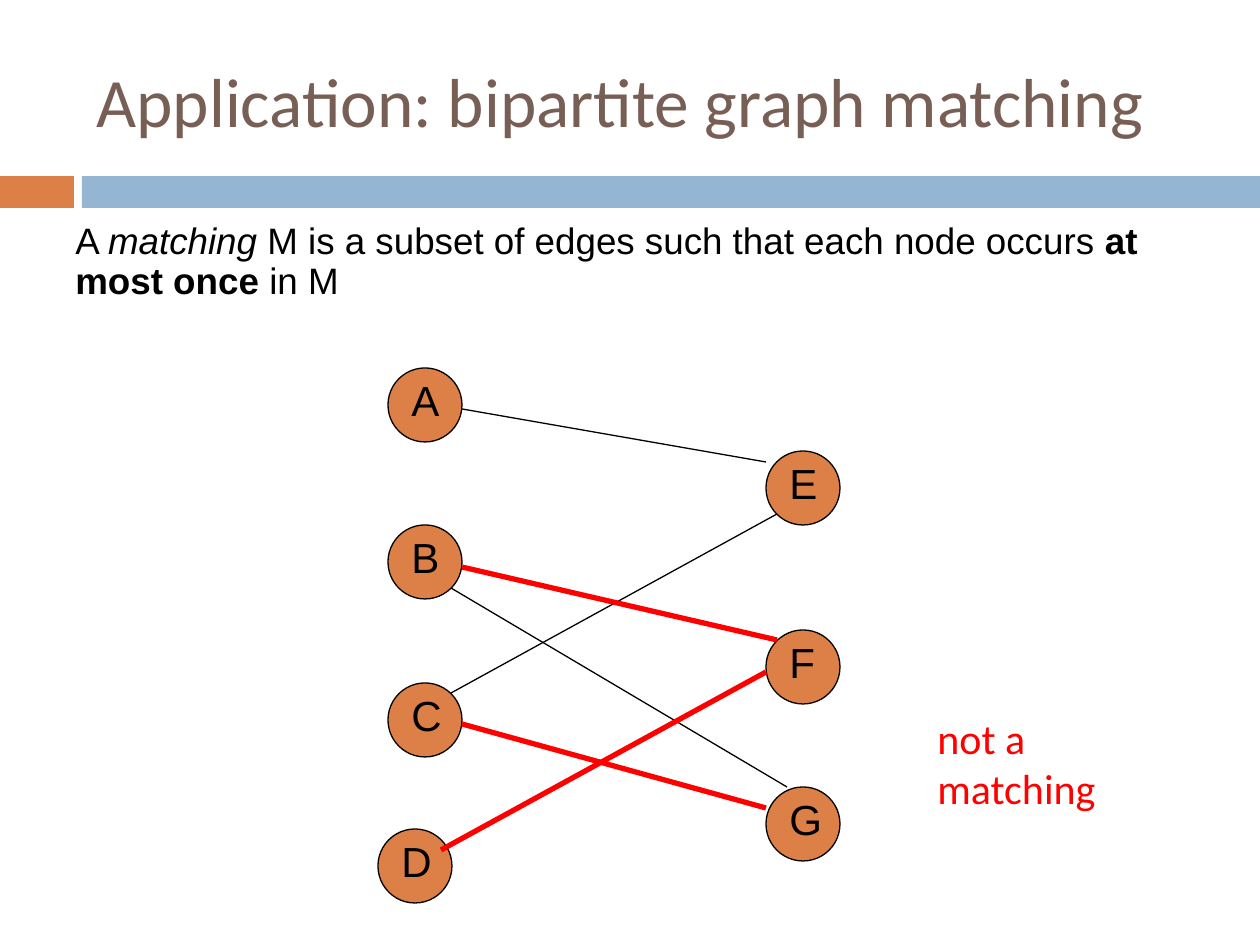
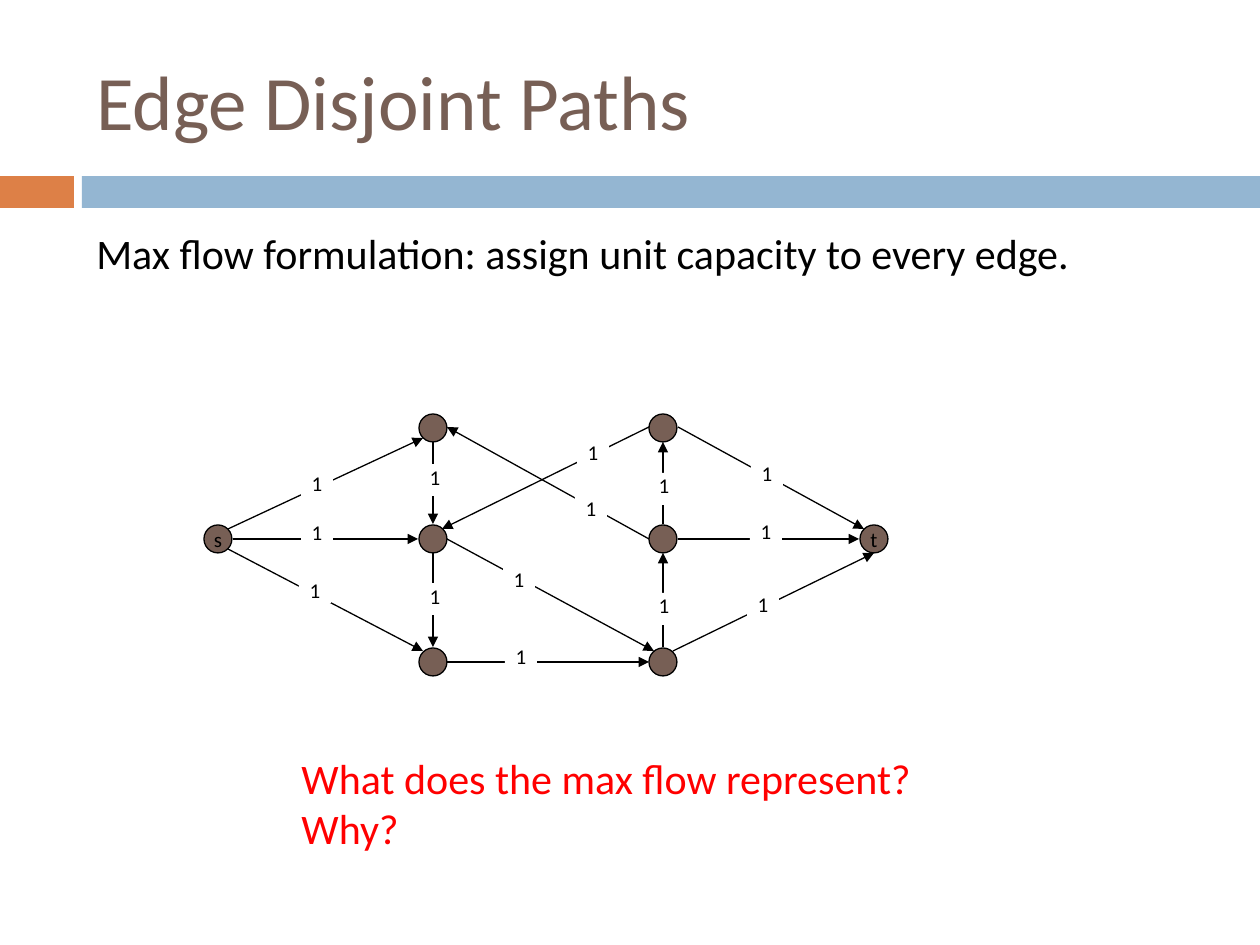
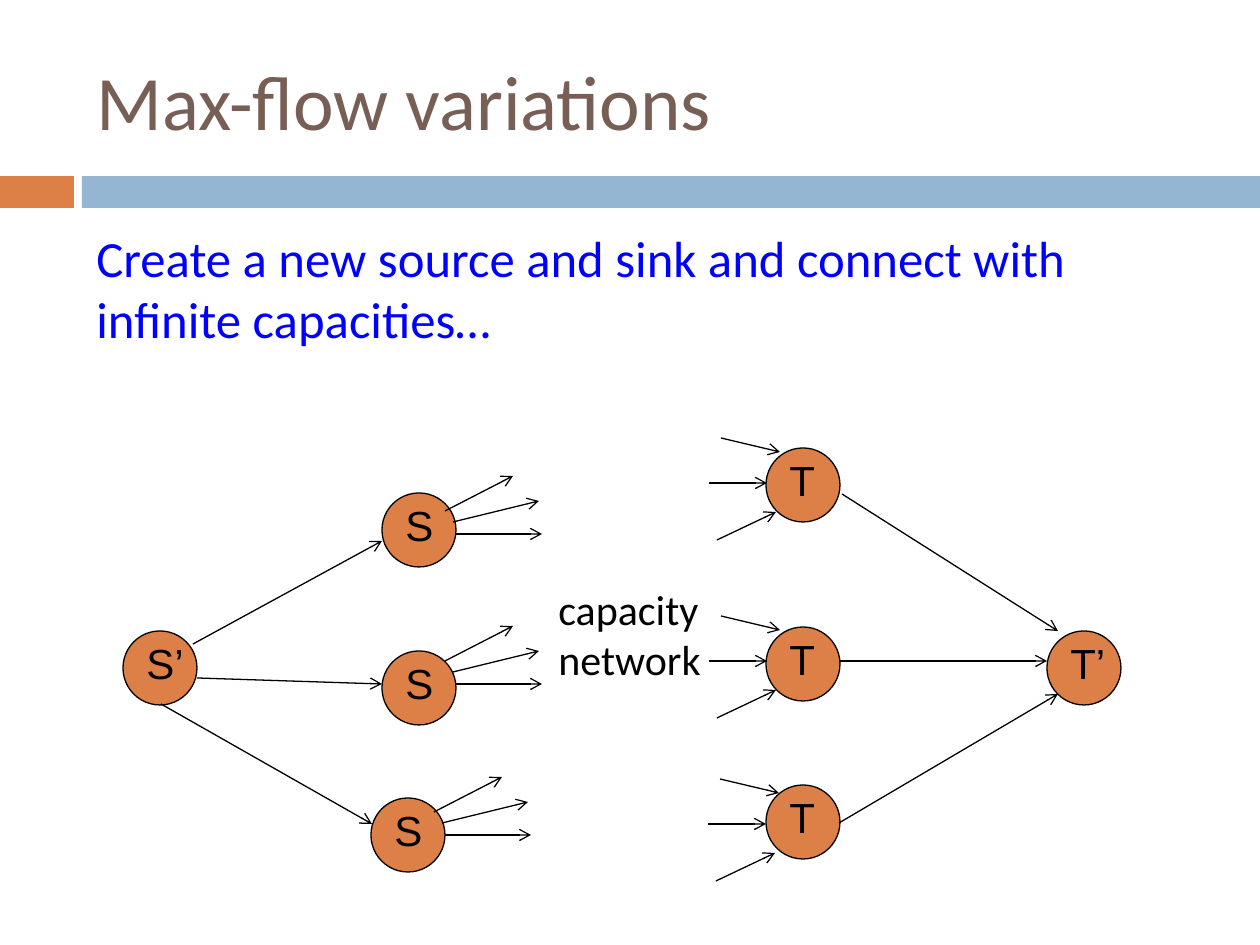
import pptx
import pptx.dml.color
import pptx.enum.shapes
import pptx.enum.text
import pptx.util
import lxml.etree
import pptx.oxml.ns

SCALE = 914400 / 126  # EMU per px
ORANGE, BLUE_BAND, BROWN = "DD8047", "94B6D2", "775F55"
BLACK, WHITE, RED, BLUE = "000000", "FFFFFF", "FF0000", "0000FF"
RECT = pptx.enum.shapes.MSO_SHAPE.RECTANGLE
OVAL = pptx.enum.shapes.MSO_SHAPE.OVAL
TOP = pptx.enum.text.MSO_ANCHOR.TOP
MIDDLE = pptx.enum.text.MSO_ANCHOR.MIDDLE
color_of = pptx.dml.color.RGBColor.from_string


def add_box(slide, box, lines=(), fill=None, kind=RECT, outline=None,
            size=24, font="Calibri", color=BLACK, anchor=TOP, spacing=None):
    """Add a filled shape with centred text, or a plain text box if fill is None."""
    place = [round(length * SCALE) for length in box]
    if fill:
        shape = slide.shapes.add_shape(kind, *place)
        shape.shadow.inherit = False
        shape.fill.solid()
        shape.fill.fore_color.rgb = color_of(fill)
        if outline:
            shape.line.color.rgb = color_of(outline)
            shape.line.width = pptx.util.Pt(0.75)
        else:
            shape.line.fill.background()
    else:
        shape = slide.shapes.add_textbox(*place)
    frame = shape.text_frame
    frame.word_wrap = True
    frame.vertical_anchor = anchor
    if fill:
        frame.margin_left = frame.margin_right = frame.margin_top = frame.margin_bottom = 0
    for number, runs in enumerate(lines):
        paragraph = frame.add_paragraph() if number else frame.paragraphs[0]
        paragraph.line_spacing = spacing
        if fill:
            paragraph.alignment = pptx.enum.text.PP_ALIGN.CENTER
        for text, style in runs:
            run = paragraph.add_run()
            run.text = text
            run.font.size = pptx.util.Pt(size)
            run.font.name = font
            run.font.color.rgb = color_of(color)
            run.font.bold = style == "bold"
            run.font.italic = style == "italic"


def add_edge(slide, ends, color=BLACK, width=0.75, arrow=None):
    """Draw a straight line (x1, y1, x2, y2) with an optional arrowhead at its end."""
    edge = slide.shapes.add_connector(pptx.enum.shapes.MSO_CONNECTOR.STRAIGHT,
                                      *[round(length * SCALE) for length in ends])
    edge.line.color.rgb = color_of(color)
    edge.line.width = pptx.util.Pt(width)
    properties = edge.line._get_or_add_ln()
    if arrow:
        lxml.etree.SubElement(properties, pptx.oxml.ns.qn("a:tailEnd"), type=arrow)
    lxml.etree.SubElement(edge._element.spPr, pptx.oxml.ns.qn("a:effectLst"))


deck = pptx.Presentation()
deck.slide_width = round(1260 * SCALE)
deck.slide_height = round(945 * SCALE)

# Bands and title of every slide
slides = []
for title, title_size in [("Application: bipartite graph matching", 39.6),
                          ("Edge Disjoint Paths", 44),
                          ("Max-flow variations", 44)]:
    slide = deck.slides.add_slide(deck.slide_layouts[6])
    add_box(slide, (0, 176, 74, 32), fill=ORANGE)
    add_box(slide, (82, 176, 1178, 32), fill=BLUE_BAND)
    add_box(slide, (84, 32, 1124, 136), [[(title, "")]],
            size=title_size, color=BROWN, anchor=MIDDLE)
    slides.append(slide)
matching, disjoint, variations = slides

# Lettered nodes of the first and third slides
matching_nodes = [("A", 388, 368), ("B", 388, 525), ("C", 388, 683), ("D", 378, 829),
                  ("E", 766, 451), ("F", 766, 630), ("G", 766, 787)]
variation_nodes = [("S", 382, 493), ("S", 382, 651), ("S", 371, 798),
                   ("T", 766, 448), ("T", 766, 627), ("T", 766, 785),
                   ("S’", 123, 631), ("T’", 1047, 631)]
for slide, nodes in [(matching, matching_nodes), (variations, variation_nodes)]:
    for letter, x, y in nodes:
        add_box(slide, (x, y, 74, 74), fill=ORANGE, kind=OVAL, outline=BLACK)
        add_box(slide, (x + 11, y, 63, 63), [[(letter, "")]], font="Arial")

# Slide 1: definition, edges, verdict
definition = [("A ", ""), ("matching ", "italic"),
              ("M is a subset of edges such that each node occurs ", ""),
              ("at most once", "bold"), (" in M", "")]
add_box(matching, (63, 217, 1134, 136), [definition], size=21, font="Arial", spacing=0.9)
for ends in [(451, 693, 777, 514), (462, 409, 766, 462), (451, 588, 787, 787)]:
    add_edge(matching, ends)
for ends in [(441, 850, 766, 672), (462, 724, 766, 808), (462, 567, 777, 640)]:
    add_edge(matching, ends, RED, 3)
add_box(matching, (925, 706, 236, 115), [[("not a matching", "")]], color=RED)

# Slide 2: formulation and unit-capacity network
add_box(disjoint, (84, 221, 1124, 149),
        [[("Max flow formulation: assign unit capacity to every edge.", "")]])
inner_nodes = [("", x, y) for x in (419, 649) for y in (414, 525, 648)]
for letter, x, y in [("s", 204, 525), *inner_nodes, ("t", 860, 525)]:
    add_box(disjoint, (x, y, 28, 28), [[(letter, "")]] if letter else [], fill=BROWN,
            kind=OVAL, outline=BLACK, size=12, anchor=MIDDLE)

unit_edges = [
    (228, 529, 423, 438), (233, 539, 418, 539), (228, 549, 423, 651),
    (433, 442, 433, 524), (433, 553, 433, 647), (447, 539, 654, 651),
    (447, 662, 649, 662), (663, 647, 663, 553), (663, 524, 663, 442),
    (649, 539, 447, 427), (649, 427, 442, 529), (678, 427, 864, 529),
    (678, 539, 859, 539), (673, 651, 874, 553)]
for ends in unit_edges:
    add_edge(disjoint, ends, arrow="triangle")

slanted_capacities = [(301, 471), (301, 520), (299, 578), (505, 644), (503, 567),
                      (575, 496), (577, 440), (751, 461), (750, 519), (747, 592)]
upright_capacities = [(419, 464), (419, 583), (648, 473), (648, 593)]
for places, height in [(slanted_capacities, 25), (upright_capacities, 32)]:
    for x, y in places:
        add_box(disjoint, (x, y, 32, height), [[("1", "")]], fill=WHITE, size=12)
add_box(disjoint, (289, 746, 636, 115),
        [[("What does the max flow represent?", "")], [("Why?", "")]], color=RED)

# Slide 3: explanation and network label
add_box(variations, (84, 221, 1124, 174),
        [[("Create a new source and sink and connect with infinite capacities…", "")]],
        size=29, color=BLUE)
add_box(variations, (546, 577, 186, 115), [[("capacity network", "")]])

# Fans of arrows out of the sources and into the sinks
source_fan = [(0, 0, 86, 0), (-3, -12, 83, -33), (-11, -23, 57, -58)]
sink_fan = [(-58, 0, 0, 0), (-46, -45, 13, -31), (-50, 57, 9, 29)]
for fan, hubs in [(source_fan, [(456, 534), (456, 684), (445, 835)]),
                  (sink_fan, [(767, 483), (767, 661), (766, 824)])]:
    for x, y in hubs:
        for x1, y1, x2, y2 in fan:
            add_edge(variations, (x + x1, y + y1, x + x2, y + y2), arrow="arrow")

# Edges from the new source and to the new sink
for ends in [(193, 644, 382, 541), (197, 678, 382, 684), (161, 704, 372, 824),
             (842, 494, 1058, 631), (839, 661, 1047, 661), (839, 823, 1058, 694)]:
    add_edge(variations, ends, arrow="arrow")

deck.save("out.pptx")
